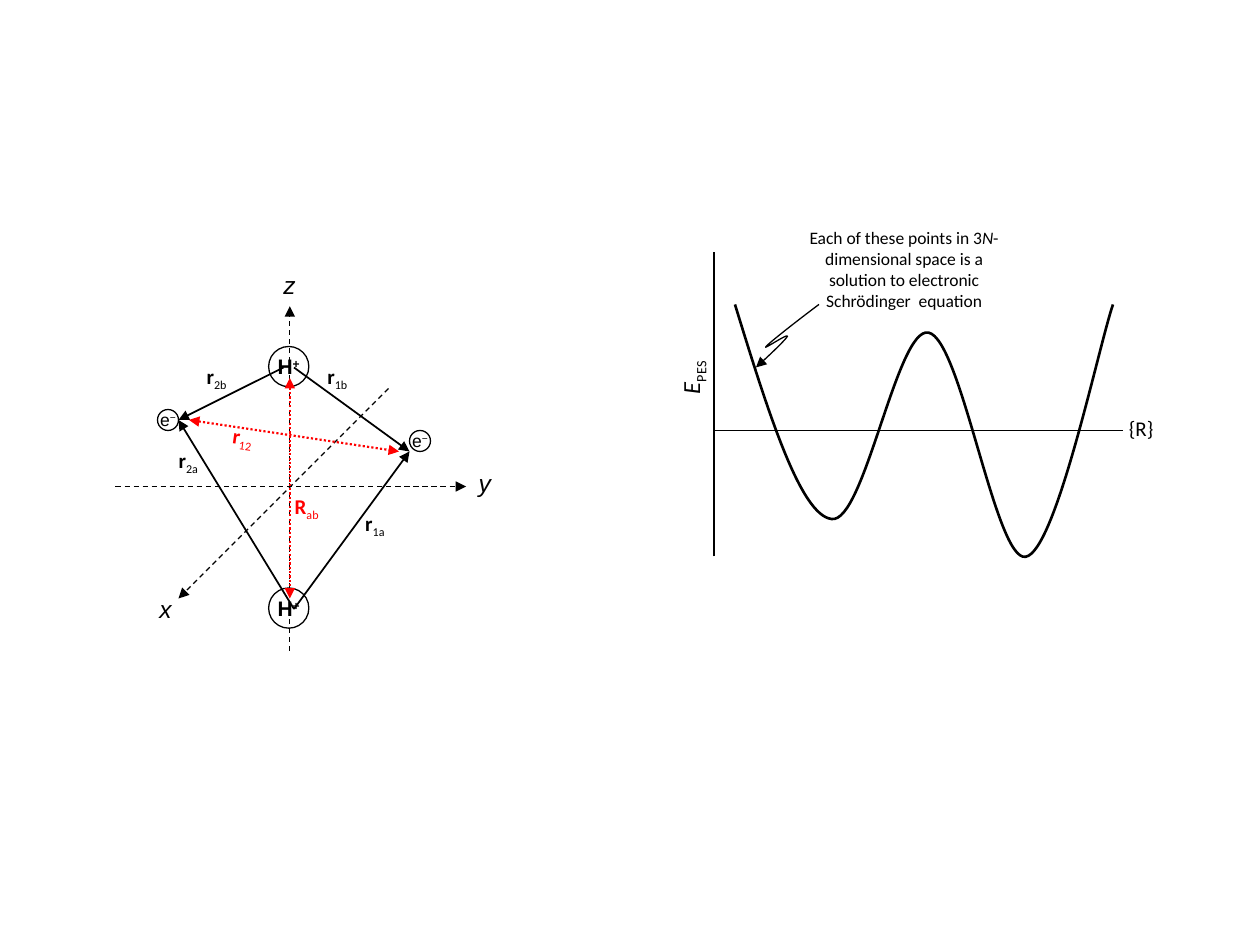
from lxml.etree import SubElement
from pptx import Presentation
from pptx.dml.color import RGBColor
from pptx.enum.dml import MSO_LINE
from pptx.enum.shapes import MSO_CONNECTOR, MSO_SHAPE
from pptx.enum.text import MSO_ANCHOR, MSO_AUTO_SIZE, PP_ALIGN
from pptx.oxml.ns import qn
from pptx.util import Pt

COLORS = {"ink": "000000", "accent": "FF0000"}
BASELINES = {"sub": "-25000", "sup": "30000"}


def rgb(name):
    return RGBColor.from_string(COLORS[name])


def write(tf, runs, size, font, color="ink", align=None):
    """Fill the first paragraph; each run is (text, set of styles)."""
    p = tf.paragraphs[0]
    p.alignment = align
    p.font.size, p.font.name = Pt(size), font
    p.font.color.rgb = rgb(color)
    for text, *styles in runs:
        r = p.add_run()
        r.text = text
        if "bold" in styles:
            r.font.bold = True
        if "italic" in styles:
            r.font.italic = True
        for style in BASELINES.keys() & set(styles):
            r._r.get_or_add_rPr().set("baseline", BASELINES[style])


def style_line(sp, width, color="ink", dash=None, head=False, tail=False):
    sp.line.color.rgb = rgb(color)
    sp.line.width = Pt(width)
    if dash:
        sp.line.dash_style = dash
    ln = sp.line._get_or_add_ln()
    for tag, wanted in (("a:headEnd", head), ("a:tailEnd", tail)):
        if wanted:
            SubElement(ln, qn(tag), type="triangle")


def add_line(s, start, end, width=0.75, **style):
    sp = s.shapes.add_connector(MSO_CONNECTOR.STRAIGHT, *map(Pt, start + end))
    style_line(sp, width, **style)
    SubElement(sp._element.spPr, qn("a:effectLst"))


def add_particle(s, x, y, d, size, runs):
    sp = s.shapes.add_shape(MSO_SHAPE.OVAL, Pt(x), Pt(y), Pt(d), Pt(d))
    sp.shadow.inherit = False
    sp.fill.background()
    style_line(sp, 0.75)
    tf = sp.text_frame
    tf.word_wrap = False
    tf.vertical_anchor = MSO_ANCHOR.MIDDLE
    write(tf, runs, size, "Arial", align=PP_ALIGN.CENTER)


def add_label(s, x, y, w, h, runs, size=12, font="Calibri", color="ink",
              rotation=0, wrap=False, align=None):
    sp = s.shapes.add_textbox(Pt(x), Pt(y), Pt(w), Pt(h))
    sp.rotation = rotation
    tf = sp.text_frame
    tf.word_wrap = wrap
    tf.auto_size = MSO_AUTO_SIZE.SHAPE_TO_FIT_TEXT
    write(tf, runs, size, font, color, align)


def add_curve(s, points, width, **style):
    """Draw a Bezier path: a start point, then three points per segment."""
    start, *rest = [(Pt(x), Pt(y)) for x, y in points]
    builder = s.shapes.build_freeform(*start, scale=1.0)
    builder.add_line_segments(rest, close=False)
    sp = builder.convert_to_shape()
    sp.shadow.inherit = False
    sp.fill.background()
    style_line(sp, width, **style)
    # Turn each group of three line points into one cubic segment
    path = sp._element.find(".//" + qn("a:path"))
    steps = path.findall(qn("a:lnTo"))
    for i in range(0, len(steps), 3):
        cubic = SubElement(path, qn("a:cubicBezTo"))
        for step in steps[i:i + 3]:
            cubic.append(step[0])
            path.remove(step)


def draw_molecule(s):
    # Nuclei and electrons
    for y in (336, 198):
        add_particle(s, 153.5, y, 23, 12, [("H", "bold"), ("+", "bold", "sup")])
    for x, y in ((234, 246), (90, 234)):
        add_particle(s, x, y, 12, 10, [("e",), ("−", "sup")])

    # Coordinate axes
    for start, end in (((165.6, 372), (165.6, 175)),
                       ((66, 278), (266.4, 278)),
                       ((222, 222), (102, 342))):
        add_line(s, start, end, dash=MSO_LINE.DASH, tail=True)
    for name, x, y in (("z", 154.8, 151), ("x", 84, 336), ("y", 266.4, 264)):
        add_label(s, x, y, 21.6, 24, [(name, "italic")], 14, "Arial")

    # Nucleus to electron vectors
    for start, end in (((168, 348), (234, 258)), ((168, 348), (102, 240)),
                       ((162, 210), (102, 240)), ((168, 210), (234, 258))):
        add_line(s, start, end, 1, tail=True)
    for index, x, y in (("2a", 95, 252), ("2b", 111, 204),
                        ("1a", 201.6, 288), ("1b", 180, 204)):
        add_label(s, x, y, 27, 21.6, [("r", "bold"), (index, "sub")])

    # Electron and nucleus separations
    for start, end in (((108, 240), (228, 258)), ((165.6, 216), (165.6, 342))):
        add_line(s, start, end, 1.25, color="accent",
                 dash=MSO_LINE.ROUND_DOT, head=True, tail=True)
    add_label(s, 126, 239, 27, 21.6, [("r", "bold"), ("12", "sub")],
              color="accent", rotation=8.1)
    add_label(s, 161.3, 278.6, 29.5, 21.6, [("R", "bold"), ("ab", "sub")],
              color="accent")


def draw_energy_plot(s):
    # Axes and their names
    add_line(s, (408, 318), (408, 144))
    add_line(s, (408, 246), (642, 246))
    add_label(s, 377.3, 203, 34.5, 24, [("E", "italic"), ("PES", "sub")], 14,
              rotation=270)
    add_label(s, 638, 234, 28.8, 21.6, [("{R}",)])

    # Potential energy curve
    add_curve(s, [(420, 174),
                  (438.5, 234), (457.2, 294.5), (475.2, 296.6),
                  (493.9, 299.5), (512.6, 186.5), (530.6, 190.1),
                  (549.4, 193.7), (568.8, 321.1), (586.1, 318.2),
                  (603.4, 315.4), (627.8, 198), (636, 174)], 1.5)

    # Note and its pointer
    add_curve(s, [(468, 174),
                  (454.3, 184.3), (440.6, 195.1), (437.8, 198),
                  (434.9, 200.9), (450.7, 190.1), (450, 192.2),
                  (449.3, 193.7), (440.6, 202.3), (432, 210)], 0.75, tail=True)
    add_label(s, 450.7, 126, 131.8, 55.4,
              [("Each of these points in 3",), ("N", "italic"),
               ("-dimensional space is a solution to electronic "
                "Schrödinger  equation",)],
              10, wrap=True, align=PP_ALIGN.CENTER)


def main():
    prs = Presentation()
    prs.slide_width, prs.slide_height = Pt(720), Pt(540)
    s = prs.slides.add_slide(prs.slide_layouts[6])
    draw_molecule(s)
    draw_energy_plot(s)
    prs.save("out.pptx")


if __name__ == "__main__":
    main()
